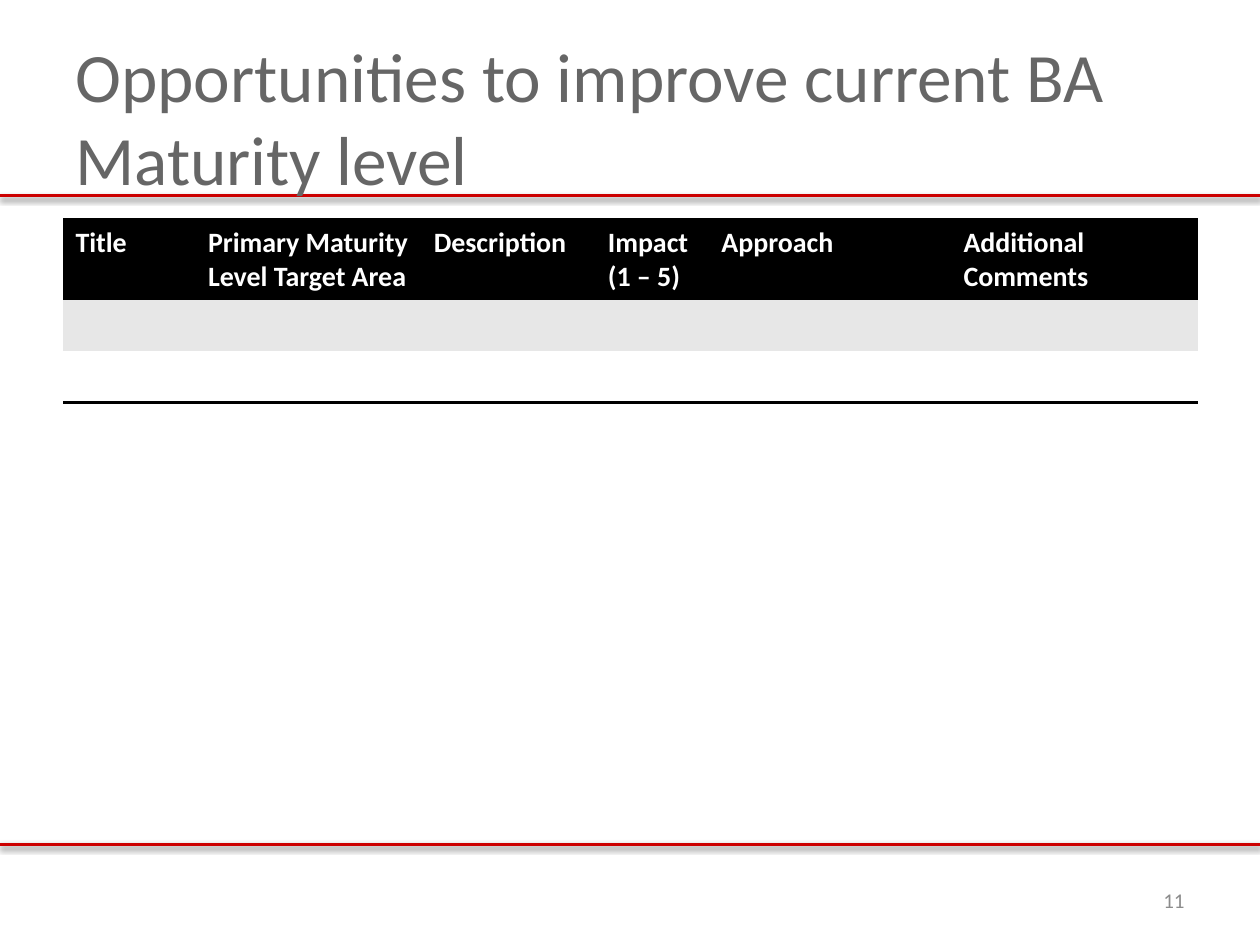
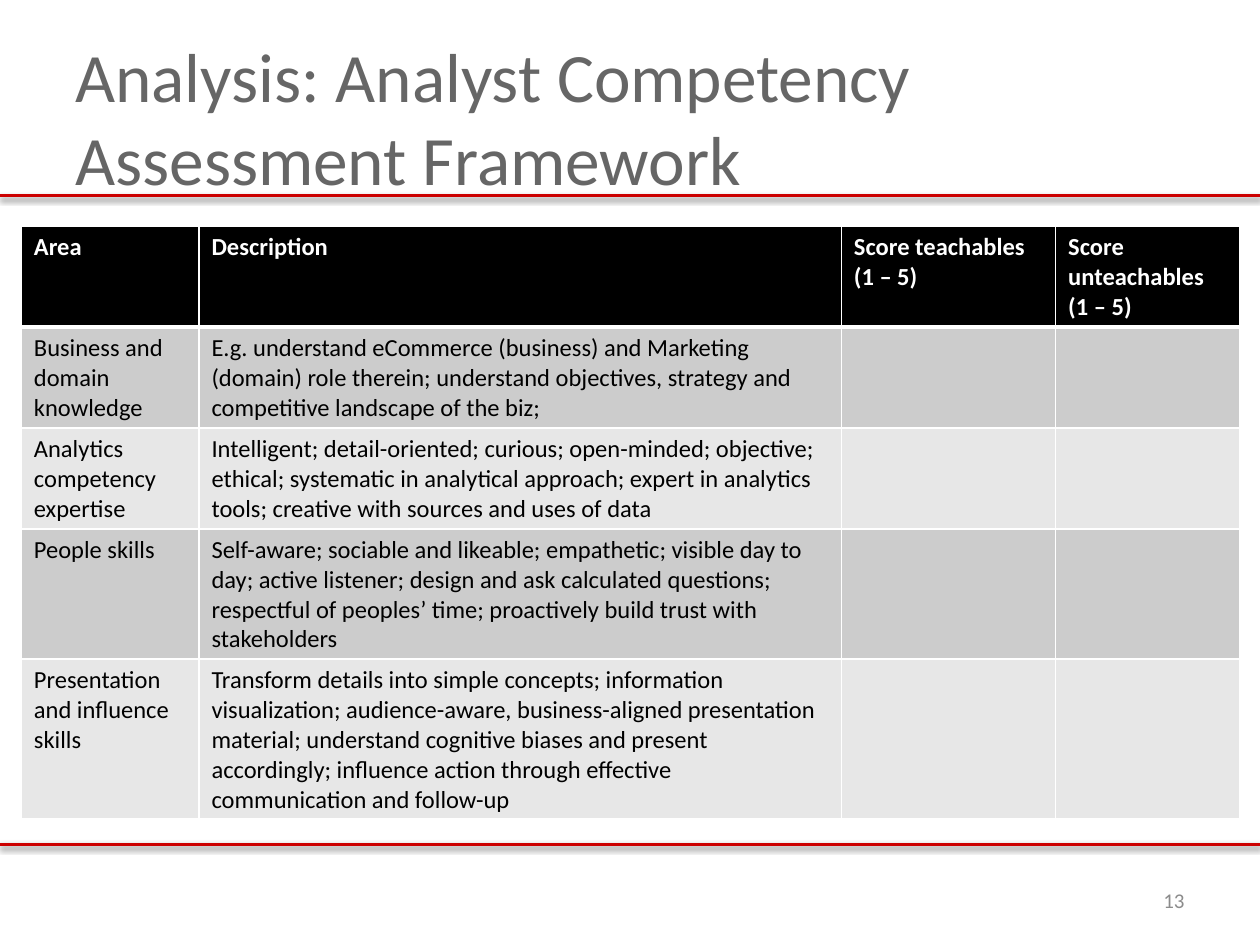
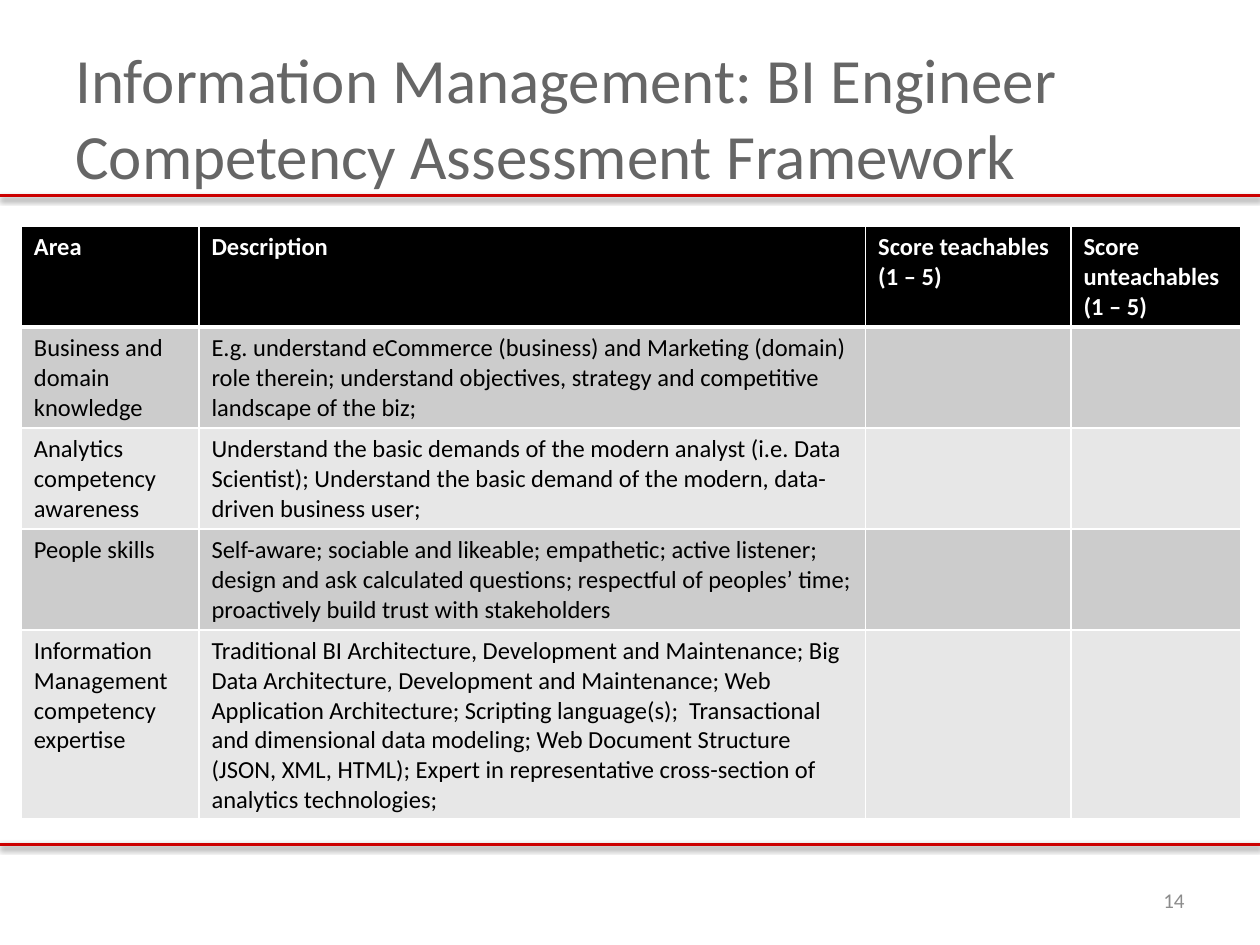
from lxml import etree
from pptx import Presentation
from pptx.dml.color import RGBColor
from pptx.enum.shapes import MSO_CONNECTOR
from pptx.enum.text import MSO_ANCHOR, PP_ALIGN
from pptx.oxml import parse_xml
from pptx.oxml.ns import nsdecls, qn
from pptx.util import Cm, Pt

STRAIGHT = MSO_CONNECTOR.STRAIGHT
MIDDLE = MSO_ANCHOR.MIDDLE
LEFT, RIGHT = PP_ALIGN.LEFT, PP_ALIGN.RIGHT

FONT = "Calibri"
RED = RGBColor(0xCC, 0x00, 0x00)
TITLE_GREY = RGBColor(0x66, 0x66, 0x66)
NUMBER_GREY = RGBColor(0x8C, 0x8C, 0x8C)
BLACK = RGBColor(0x00, 0x00, 0x00)
WHITE = RGBColor(0xFF, 0xFF, 0xFF)
DARK_BAND = RGBColor(0xCC, 0xCC, 0xCC)
LIGHT_BAND = RGBColor(0xE7, 0xE7, 0xE7)

SLIDE_WIDTH, SLIDE_HEIGHT = Cm(25.4), Cm(19.05)
RULE_HEIGHTS = (Cm(17.02), Cm(3.94))
ROW_HEIGHT = Cm(1.04)
RULE_SHADOW = (
    f'<a:effectLst {nsdecls("a")}>'
    '<a:outerShdw blurRad="39400" dist="20300" dir="5400000" rotWithShape="0">'
    '<a:srgbClr val="000000"><a:alpha val="38000"/></a:srgbClr>'
    '</a:outerShdw></a:effectLst>'
)

# Content of the three slides
COMPETENCY_HEADER = ["Area", "Description", "Score teachables (1 – 5)",
                     "Score unteachables (1 – 5)"]
BUSINESS_KNOWLEDGE = [
    "Business and domain knowledge",
    "E.g. understand eCommerce (business) and Marketing (domain) role therein; "
    "understand objectives, strategy and competitive landscape of the biz;",
    "", ""]

PAGES = [
    {
        "title": "Opportunities to improve current BA Maturity level",
        "title_size": 39.6, "number": "11", "scored": False, "text_size": 16,
        "left": 1.27, "top": 4.43,
        "columns": [2.67, 4.55, 3.51, 2.29, 4.88, 4.98],
        "rows": [
            ["Title", "Primary Maturity Level Target Area", "Description",
             "Impact (1 – 5)", "Approach", "Additional Comments"],
            [""] * 6,
            [""] * 6,
        ],
    },
    {
        "title": "Analysis: Analyst Competency Assessment Framework",
        "title_size": 39.6, "number": "13", "scored": True, "text_size": 14,
        "left": 0.43, "top": 4.56,
        "columns": [3.58, 12.95, 4.32, 3.71],
        "rows": [
            COMPETENCY_HEADER,
            BUSINESS_KNOWLEDGE,
            ["Analytics competency expertise",
             "Intelligent; detail-oriented; curious; open-minded; objective; "
             "ethical; systematic in analytical approach; expert in analytics "
             "tools; creative with sources and uses of data", "", ""],
            ["People skills",
             "Self-aware; sociable and likeable; empathetic; visible day to day; "
             "active listener; design and ask calculated questions; respectful "
             "of peoples’ time; proactively build trust with stakeholders",
             "", ""],
            ["Presentation and influence skills",
             "Transform details into simple concepts; information visualization; "
             "audience-aware, business-aligned presentation material; understand "
             "cognitive biases and present accordingly; influence action through "
             "effective communication and follow-up", "", ""],
        ],
    },
    {
        "title": "Information Management: BI Engineer Competency Assessment "
                 "Framework",
        "title_size": 36, "number": "14", "scored": True, "text_size": 14,
        "left": 0.43, "top": 4.56,
        "columns": [3.58, 13.44, 4.14, 3.43],
        "rows": [
            COMPETENCY_HEADER,
            BUSINESS_KNOWLEDGE,
            ["Analytics competency awareness",
             "Understand the basic demands of the modern analyst (i.e. Data "
             "Scientist); Understand the basic demand of the modern, data-driven "
             "business user;", "", ""],
            ["People skills",
             "Self-aware; sociable and likeable; empathetic; active listener; "
             "design and ask calculated questions; respectful of peoples’ time; "
             "proactively build trust with stakeholders", "", ""],
            ["Information Management competency expertise",
             "Traditional BI Architecture, Development and Maintenance; Big Data "
             "Architecture, Development and Maintenance; Web Application "
             "Architecture; Scripting language(s);  Transactional and "
             "dimensional data modeling; Web Document Structure (JSON, XML, "
             "HTML); Expert in representative cross-section of analytics "
             "technologies;", "", ""],
        ],
    },
]


def write(text_frame, text, size, color, bold=False, align=LEFT):
    text_frame.text = text
    paragraph = text_frame.paragraphs[0]
    paragraph.alignment = align
    font = paragraph.runs[0].font if text else paragraph.font
    font.name, font.size, font.bold = FONT, Pt(size), bold
    font.color.rgb = color


def set_borders(cell, borders):
    """Draw the sides given as {side: (colour, points)} and clear the others."""
    properties = cell._tc.get_or_add_tcPr()
    for side in "LRTB":
        line = etree.SubElement(properties, qn(f"a:ln{side}"))
        if side in borders:
            color, width = borders[side]
            line.set("w", str(Pt(width)))
            fill = etree.SubElement(line, qn("a:solidFill"))
            etree.SubElement(fill, qn("a:srgbClr")).set("val", str(color))
        else:
            etree.SubElement(line, qn("a:noFill"))


prs = Presentation()
prs.slide_width, prs.slide_height = SLIDE_WIDTH, SLIDE_HEIGHT
blank_layout = prs.slide_layouts[6]

for page in PAGES:
    slide = prs.slides.add_slide(blank_layout)

    # Red rules above the footer and below the title
    for height in RULE_HEIGHTS:
        rule = slide.shapes.add_connector(STRAIGHT, 0, height, SLIDE_WIDTH, height)
        rule.line.color.rgb = RED
        rule.line.width = Pt(2)
        rule._element.spPr.append(parse_xml(RULE_SHADOW))

    # Title and slide number
    title = slide.shapes.add_textbox(Cm(1.27), Cm(0.76), Cm(22.86), Cm(3.18))
    number = slide.shapes.add_textbox(Cm(18.2), Cm(17.65), Cm(5.93), Cm(1.01))
    for box in (title, number):
        box.text_frame.word_wrap = True
        box.text_frame.vertical_anchor = MIDDLE
    write(title.text_frame, page["title"], page["title_size"], TITLE_GREY)
    write(number.text_frame, page["number"], 12, NUMBER_GREY, align=RIGHT)

    # Table: rows grow to fit their text
    rows, columns = page["rows"], page["columns"]
    table = slide.shapes.add_table(
        len(rows), len(columns), Cm(page["left"]), Cm(page["top"]),
        Cm(sum(columns)), ROW_HEIGHT * len(rows)).table
    table.horz_banding = False
    for column, width in zip(table.columns, columns):
        column.width = Cm(width)

    for r, row in enumerate(rows):
        table.rows[r].height = ROW_HEIGHT
        is_header, is_odd = r == 0, r % 2 == 1
        if page["scored"]:
            body_fill = DARK_BAND if is_odd else LIGHT_BAND
            borders = {side: (WHITE, 1) for side in "LRTB"}
            if is_header:
                borders["B"] = (WHITE, 3)
            elif r == 1:
                borders["T"] = (WHITE, 3)
        else:
            body_fill = LIGHT_BAND if is_odd else WHITE
            borders = {}
            if is_header:
                borders["T"] = (BLACK, 2)
            elif r == len(rows) - 1:
                borders["B"] = (BLACK, 2)

        for c, text in enumerate(row):
            cell = table.cell(r, c)
            set_borders(cell, borders)
            cell.fill.solid()
            cell.fill.fore_color.rgb = BLACK if is_header else body_fill
            write(cell.text_frame, text, page["text_size"],
                  WHITE if is_header else BLACK, bold=is_header)

prs.save("out.pptx")
